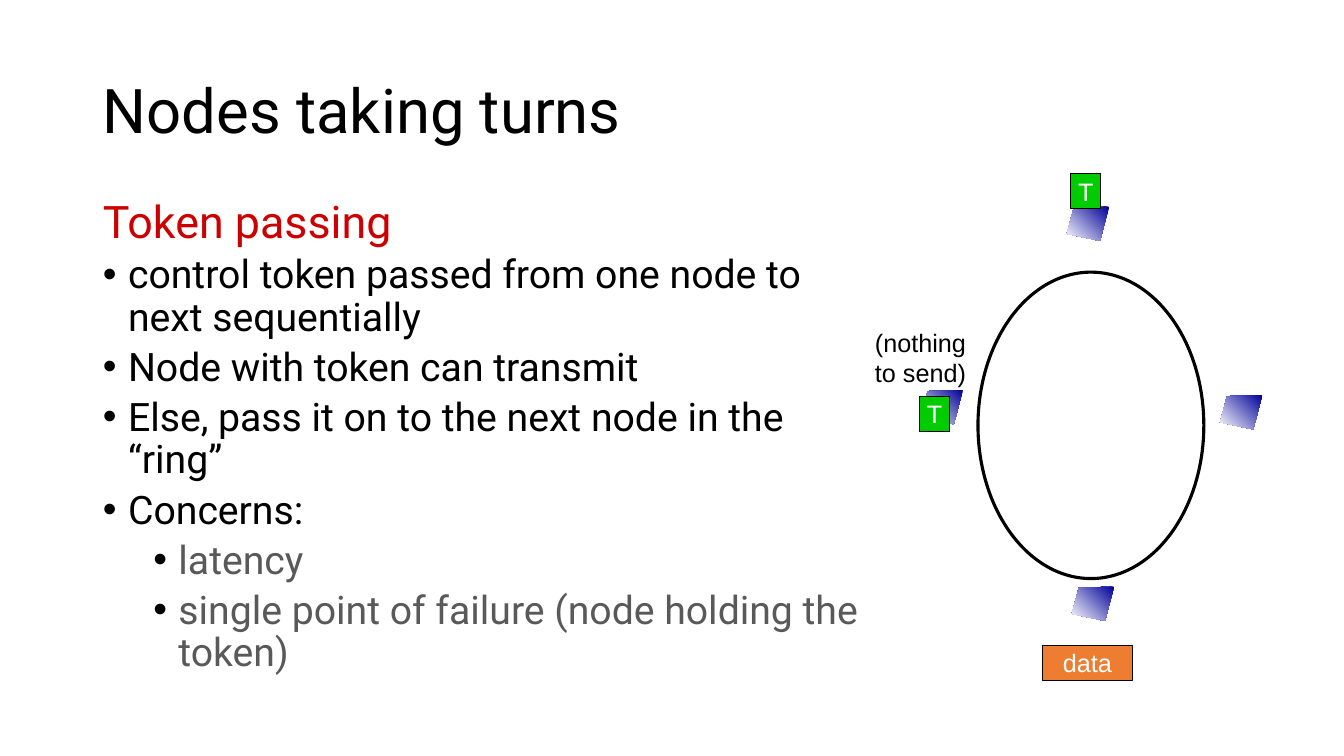
"""Build the slide on token passing between nodes in a ring."""
from dataclasses import dataclass
from typing import Any

from lxml import etree
from pptx import Presentation
from pptx.dml.color import RGBColor
from pptx.enum.shapes import MSO_SHAPE
from pptx.enum.text import MSO_ANCHOR, MSO_AUTO_SIZE, PP_ALIGN
from pptx.oxml.ns import qn
from pptx.util import Inches, Pt

RECTANGLE, ELLIPSE = MSO_SHAPE.RECTANGLE, MSO_SHAPE.OVAL
LEFT, CENTER = PP_ALIGN.LEFT, PP_ALIGN.CENTER
TOP, MIDDLE = MSO_ANCHOR.TOP, MSO_ANCHOR.MIDDLE
NO_AUTOFIT = MSO_AUTO_SIZE.NONE

BLACK = RGBColor(0x00, 0x00, 0x00)
WHITE = RGBColor(0xFF, 0xFF, 0xFF)
RED = RGBColor(0xCC, 0x00, 0x00)
GRAY = RGBColor(0x59, 0x59, 0x59)
NAVY = RGBColor(0x00, 0x00, 0x99)
GREEN = RGBColor(0x00, 0xCC, 0x00)
ORANGE = RGBColor(0xED, 0x7D, 0x31)

HEADING_FONT, LABEL_FONT = "Roboto", "Arial"
BULLET_INDENT = 0.25
NODE_CORNERS = [(0.42, 0), (0.07, 0.01), (0, 0.27), (0.33, 0.34)]


@dataclass
class Point:
    text: str
    level: int = 0
    bullet: bool = True
    size: int = 28
    color: RGBColor = BLACK
    spacing: float = 0.9


@dataclass
class Packet:
    text: str
    left: float
    top: float
    width: float
    color: RGBColor


POINTS = [
    Point("Token passing", bullet=False, size=32, color=RED, spacing=0.75),
    Point("control token passed from one node to next sequentially"),
    Point("Node with token can transmit"),
    Point("Else, pass it on to the next node in the “ring”"),
    Point("Concerns:"),
    Point("latency", level=1, color=GRAY),
    Point("single point of failure (node holding the token)", level=1, color=GRAY),
]
NODES = [(12.1, 3.92), (9.13, 3.87), (10.58, 2.05), (10.63, 5.82)]
PACKETS = [
    Packet("T", 10.62, 1.72, 0.3, GREEN),
    Packet("data", 10.34, 6.4, 0.89, ORANGE),
    Packet("T", 9.12, 3.93, 0.3, GREEN),
]


def apply_format(target: Any, values: dict[str, Any]) -> None:
    """Set each named attribute on the target."""
    for name, value in values.items():
        setattr(target, name, value)


def place(shape: Any, left: float, top: float, width: float, height: float) -> None:
    """Move and size a shape in inches."""
    apply_format(shape, {"left": Inches(left), "top": Inches(top),
                         "width": Inches(width), "height": Inches(height)})


def write(paragraph: Any, text: str, font: str, size: float, color: RGBColor) -> None:
    """Add one formatted run to a paragraph."""
    run = paragraph.add_run()
    run.text = text
    apply_format(run.font, {"name": font, "size": Pt(size)})
    run.font.color.rgb = color


def set_bullet(paragraph: Any, point: Point) -> None:
    """Set the indent and bullet of a paragraph."""
    properties = paragraph._p.get_or_add_pPr()
    margin = BULLET_INDENT * (1 + 2 * point.level) if point.bullet else 0
    hanging = -BULLET_INDENT if point.bullet else 0
    properties.set("marL", str(Inches(margin)))
    properties.set("indent", str(Inches(hanging)))
    if not point.bullet:
        etree.SubElement(properties, qn("a:buNone"))
        return
    bullet_color = etree.SubElement(properties, qn("a:buClr"))
    etree.SubElement(bullet_color, qn("a:srgbClr")).set("val", str(BLACK))
    etree.SubElement(properties, qn("a:buFont")).set("typeface", LABEL_FONT)
    etree.SubElement(properties, qn("a:buChar")).set("char", "•")


def add_title(slide: Any) -> None:
    """Fill the title placeholder."""
    title = slide.shapes.title
    place(title, 0.92, 0.4, 11.5, 1.45)
    apply_format(title.text_frame, {"vertical_anchor": MIDDLE, "word_wrap": True,
                                    "auto_size": NO_AUTOFIT})
    heading = title.text_frame.paragraphs[0]
    apply_format(heading, {"alignment": LEFT, "line_spacing": 0.9})
    write(heading, "Nodes taking turns", HEADING_FONT, 44, BLACK)


def add_points(slide: Any) -> None:
    """Fill the body placeholder with the list."""
    body = slide.placeholders[1]
    place(body, 0.92, 2, 7.75, 5.29)
    frame = body.text_frame
    apply_format(frame, {"vertical_anchor": TOP, "word_wrap": True,
                         "auto_size": NO_AUTOFIT})
    for index, point in enumerate(POINTS):
        paragraph = frame.add_paragraph() if index else frame.paragraphs[0]
        set_bullet(paragraph, point)
        apply_format(paragraph, {
            "level": point.level, "alignment": LEFT, "line_spacing": point.spacing,
            "space_before": Pt(0.2 * point.size if index else 0)})
        write(paragraph, point.text, HEADING_FONT, point.size, point.color)


def add_node(slide: Any, left: float, top: float) -> None:
    """Draw one network node as a shaded quadrilateral."""
    corners = [(Inches(left + x), Inches(top + y)) for x, y in NODE_CORNERS]
    builder = slide.shapes.build_freeform(*corners[0])
    builder.add_line_segments(corners[1:], close=True)
    node = builder.convert_to_shape()
    node.shadow.inherit = False
    node.line.fill.background()
    node.fill.gradient()
    node.fill.gradient_angle = 225
    for stop, color in zip(node.fill.gradient_stops, (NAVY, WHITE)):
        stop.color.rgb = color


def add_outlined(slide: Any, kind: Any, box: tuple[float, float, float, float],
                 line_width: float) -> Any:
    """Add a preset shape with a black outline."""
    shape = slide.shapes.add_shape(kind, *map(Inches, box))
    shape.shadow.inherit = False
    shape.line.color.rgb = BLACK
    shape.line.width = Pt(line_width)
    return shape


def add_packet(slide: Any, packet: Packet) -> None:
    """Draw a token or data packet."""
    box = (packet.left, packet.top, packet.width, 0.35)
    shape = add_outlined(slide, RECTANGLE, box, 0.75)
    shape.fill.solid()
    shape.fill.fore_color.rgb = packet.color
    apply_format(shape.text_frame, {"word_wrap": False, "vertical_anchor": MIDDLE})
    paragraph = shape.text_frame.paragraphs[0]
    paragraph.alignment = CENTER
    write(paragraph, packet.text, LABEL_FONT, 18, WHITE)


def add_idle_label(slide: Any) -> None:
    """Label the node that has nothing to send."""
    frame = slide.shapes.add_textbox(*map(Inches, (8.58, 3.2, 1.1, 0.7))).text_frame
    frame.word_wrap = False
    write(frame.paragraphs[0], "(nothing", LABEL_FONT, 18, BLACK)
    write(frame.add_paragraph(), "to send)", LABEL_FONT, 18, BLACK)


def main() -> None:
    """Build and save the presentation."""
    presentation = Presentation()
    apply_format(presentation, {"slide_width": Inches(13.33),
                                "slide_height": Inches(7.5)})
    slide = presentation.slides.add_slide(presentation.slide_layouts[1])
    add_title(slide)
    add_points(slide)
    for left, top in NODES:
        add_node(slide, left, top)
    ring = add_outlined(slide, ELLIPSE, (9.7, 2.7, 2.24, 3.04), 2.25)
    ring.fill.background()
    for packet in PACKETS:
        add_packet(slide, packet)
    add_idle_label(slide)
    presentation.save("out.pptx")


if __name__ == "__main__":
    main()
